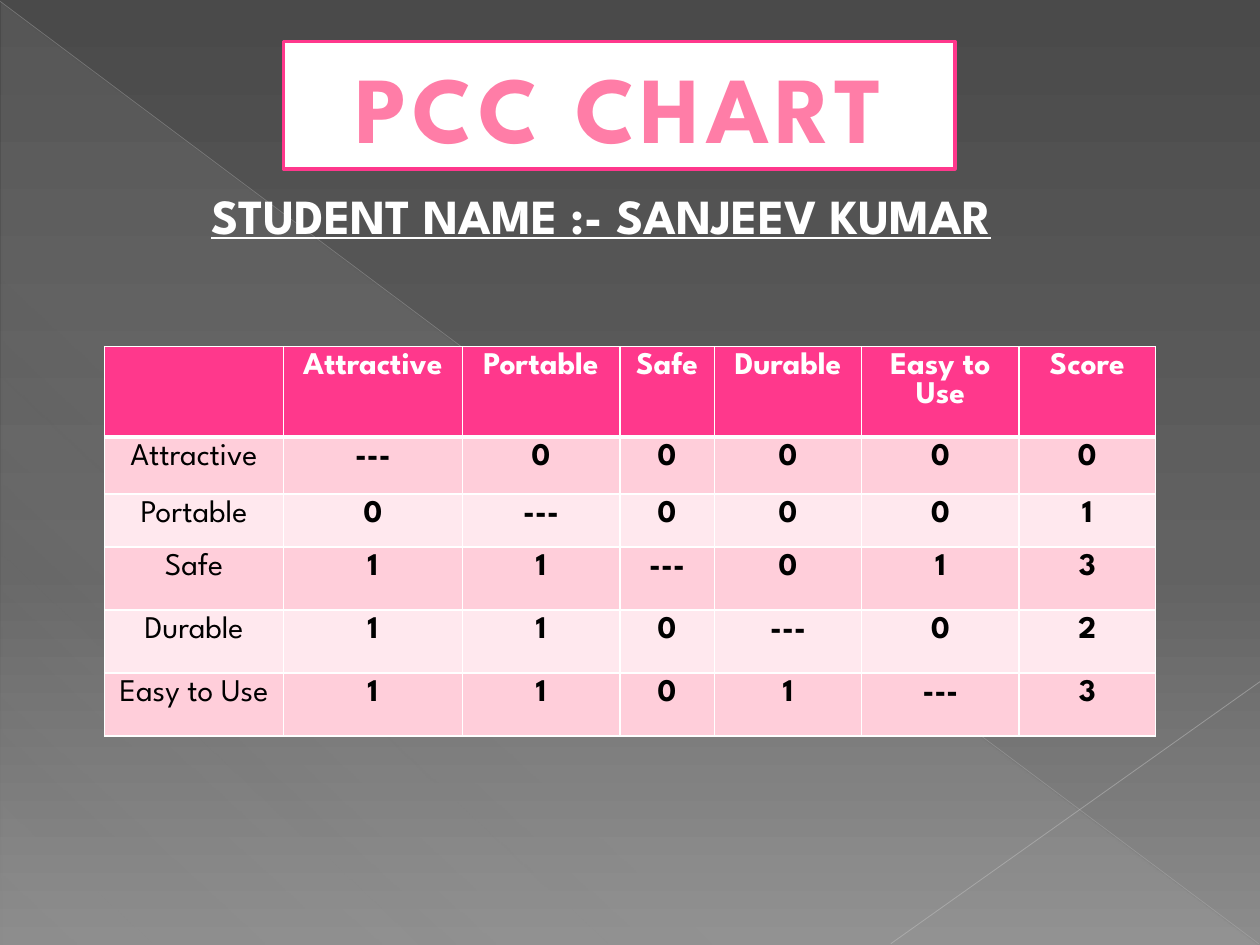
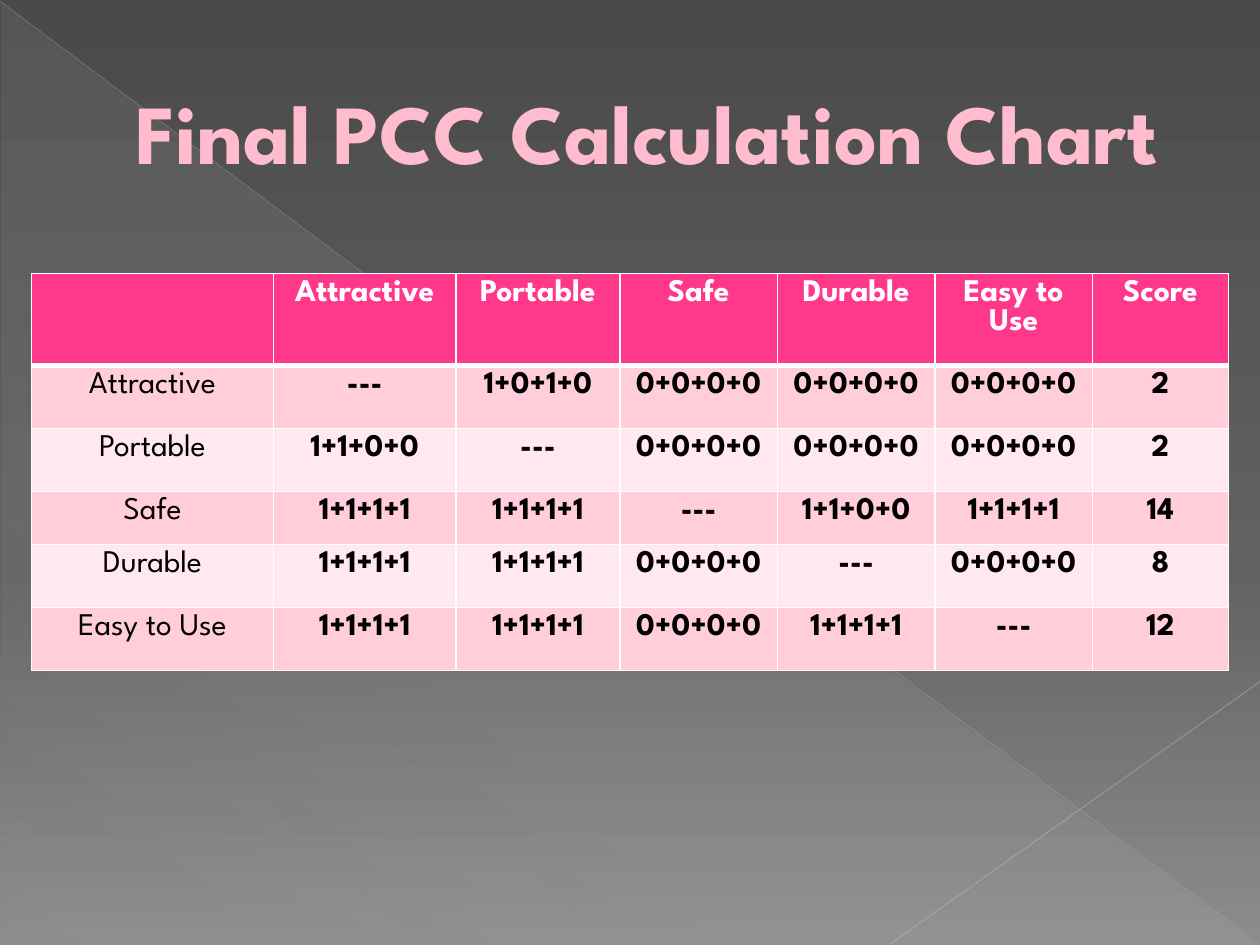
from lxml import etree
from pptx import Presentation
from pptx.dml.color import RGBColor as Rgb
from pptx.enum.shapes import MSO_CONNECTOR as Link, MSO_SHAPE as Form
from pptx.enum.text import MSO_ANCHOR as Anchor, MSO_AUTO_SIZE as Fit, PP_ALIGN as Align
from pptx.oxml.ns import qn
from pptx.util import Inches, Pt

FONT = "League Spartan"
INK = {
    "white": "FFFFFF", "black": "000000", "pink": "FF388C",
    "band": "FFCEDA", "pale": "FFE8EE", "haze": "D2D2D2",
    "long": "BFBFBF", "short": "C6C6C6",
    "edge": "FFF4F7", "rim": "FB2C83", "glow": "FFBCCE",
}
# Gradient stops: position %, colour, opacity %
BACK = [(0, "4A4A4A", 100), (60, "626262", 100), (100, "8C8C8C", 100)]
VEIL = [(0, INK["haze"], 10), (70, INK["haze"], 8), (100, INK["haze"], 1)]
ROSE = [(10, "FF7DA7", 100), (75, "E10562", 100)]
WINE = [(0, "FFCEDA", 100), (9, "FFBCCE", 100), (50, "9A0041", 100),
        (79, "FFBCCE", 100), (100, "FFCEDA", 100)]
# Master lines: from, to, colour, width, opacity %
LINES = [
    ((0, 0.01), (9.99, 7.49), INK["long"], 0.39, 35),
    ((10, 5.41), (7.07, 7.49), INK["short"], 0.47, 45),
]

TRAITS = ["Attractive", "Portable", "Safe", "Durable", "Easy to Use"]
HEAD = ["", *TRAITS, "Score"]
SAME = "---"
ONES, NONE, HALF = "1+1+1+1", "0+0+0+0", "1+1+0+0"
STUDENT = "STUDENT NAME :- SANJEEV KUMAR"

FIRST = {
    "title": "PCC CHART", "box": (2.25, 0.33, 5.33, 1.01), "size": 54,
    "stops": ROSE, "out": (INK["edge"], 0.9), "framed": True,
    "at": (0.83, 2.75),
    "cols": [1.42, 1.42, 1.25, 0.75, 1.17, 1.25, 1.08],
    "rows": [0.72, 0.45, 0.42, 0.5, 0.5, 0.5],
    "marks": [
        [SAME, "0", "0", "0", "0", "0"],
        ["0", SAME, "0", "0", "0", "1"],
        ["1", "1", SAME, "0", "1", "3"],
        ["1", "1", "0", SAME, "0", "2"],
        ["1", "1", "0", "1", SAME, "3"],
    ],
}
FINAL = {
    "title": "Final PCC Calculation Chart", "box": (-0.17, 0.58, 10.61, 0.91),
    "size": 48, "stops": WINE, "out": (INK["rim"], 0.83), "framed": False,
    "at": (0.25, 2.17),
    "cols": [1.92, 1.45, 1.3, 1.25, 1.25, 1.25, 1.08],
    "rows": [0.73, 0.5, 0.5, 0.42, 0.5, 0.5],
    "marks": [
        [SAME, "1+0+1+0", NONE, NONE, NONE, "2"],
        [HALF, SAME, NONE, NONE, NONE, "2"],
        [ONES, ONES, SAME, HALF, ONES, "14"],
        [ONES, ONES, NONE, SAME, NONE, "8"],
        [ONES, ONES, NONE, ONES, SAME, "12"],
    ],
}


def node(tag, *kids, **attrs):
    """Make an XML element with children and attributes."""
    item = etree.Element(qn(tag), {k: str(v) for k, v in attrs.items()})
    item.extend(kids)
    return item


def tint(hue, show=100):
    """Make a colour element with an opacity in percent."""
    kids = [node("a:alpha", val=show * 1000)] if show < 100 else []
    return node("a:srgbClr", *kids, val=hue)


def blend(stops, angle):
    """Make a linear gradient fill."""
    marks = [node("a:gs", tint(hue, show), pos=spot * 1000)
             for spot, hue, show in stops]
    return node("a:gradFill", node("a:gsLst", *marks),
                node("a:lin", ang=angle * 60000, scaled=0), rotWithShape=1)


def stroke(tag, hue, width):
    """Make a solid outline element."""
    return node(tag, node("a:solidFill", tint(hue)), w=Pt(width))


def write(frame, text, size, bold=True, hue=None, align=Align.CENTER):
    """Add one formatted run to a text frame and return it."""
    para = frame.paragraphs[0]
    para.alignment = align
    run = para.add_run()
    run.text = text
    run.font.name, run.font.size, run.font.bold = FONT, Pt(size), bold
    if hue:
        run.font.color.rgb = Rgb.from_string(hue)
    return run


def dress(prs, slide):
    """Give the master its background, triangle and lines."""
    master = prs.slide_master
    master.background.fill.background()
    ground = master.element.find(".//" + qn("p:bgPr"))
    ground.replace(ground[0], blend(BACK, 90))

    veil = slide.shapes.add_shape(Form.RIGHT_TRIANGLE, Inches(0.01),
                                  Inches(0.02), Inches(9.98), Inches(7.48))
    veil.shadow.inherit = False
    veil.line.fill.background()
    veil.fill.background()
    props = veil.element.spPr
    props.replace(props.find(qn("a:noFill")), blend(VEIL, 133))
    parts = [veil]
    for start, end, hue, width, show in LINES:
        line = slide.shapes.add_connector(
            Link.STRAIGHT, *map(Inches, start + end))
        line.line.width = Pt(width)
        line.line.color.rgb = Rgb.from_string(hue)
        props = line.element.spPr
        props.find(".//" + qn("a:srgbClr")).append(
            node("a:alpha", val=show * 1000))
        props.append(node("a:effectLst"))
        parts.append(line)
    for spot, part in enumerate(parts):
        part.element.find(".//" + qn("p:cNvPr")).set("id", str(20 + spot))
        master.shapes.element.insert(2 + spot, part.element)


def head(slide, page):
    """Fill and format the title placeholder."""
    title = slide.shapes.title
    title.left, title.top, title.width, title.height = map(Inches, page["box"])
    frame = title.text_frame
    frame.auto_size, frame.vertical_anchor = Fit.NONE, Anchor.BOTTOM
    frame.word_wrap = True
    run = write(frame, page["title"], page["size"])
    look = [stroke("a:ln", *page["out"]), blend(page["stops"], 90)]
    props = run.font.name and run._r.get_or_add_rPr()
    if page["framed"]:
        title.fill.solid()
        title.fill.fore_color.rgb = Rgb.from_string(INK["white"])
        title.line.color.rgb = Rgb.from_string(INK["pink"])
        title.line.width = Pt(2)
        props.set("spc", "300")
        look.append(node("a:effectLst", node(
            "a:outerShdw", tint(INK["glow"]), blurRad=Pt(2), dist=Pt(2),
            dir=45 * 60000)))
    for spot, part in enumerate(look):
        props.insert(spot, part)


def grid(slide, page):
    """Add the comparison table."""
    cols, rows = page["cols"], page["rows"]
    data = [HEAD] + [[name, *row] for name, row in zip(TRAITS, page["marks"])]
    table = slide.shapes.add_table(
        len(rows), len(cols), *map(Inches, page["at"]),
        Inches(sum(cols)), Inches(sum(rows))).table
    for col, wide in zip(table.columns, cols):
        col.width = Inches(wide)
    for row, tall in zip(table.rows, rows):
        row.height = Inches(tall)
    for r, line in enumerate(data):
        fill = INK["pink"] if r == 0 else INK["band"] if r % 2 else INK["pale"]
        hue = INK["black"] if r else INK["white"]
        edges = {"L": 1, "R": 1, "T": 3 if r == 1 else 1, "B": 1 if r else 3}
        for c, text in enumerate(line):
            cell = table.cell(r, c)
            props = cell._tc.get_or_add_tcPr()
            for side, width in edges.items():
                props.append(stroke("a:ln" + side, INK["white"], width))
            cell.fill.solid()
            cell.fill.fore_color.rgb = Rgb.from_string(fill)
            if text:
                write(cell.text_frame, text, 18, r == 0 or c > 0, hue)


def label(slide):
    """Add the underlined student name."""
    box = slide.shapes.add_textbox(*map(Inches, (1.58, 1.42, 6.64, 0.57)))
    frame = box.text_frame
    frame.word_wrap, frame.vertical_anchor = False, Anchor.BOTTOM
    run = write(frame, STUDENT, 28, True, INK["white"], Align.LEFT)
    run.font.underline = True


def build():
    """Build and save both slides."""
    prs = Presentation()
    prs.slide_width, prs.slide_height = Inches(10), Inches(7.5)
    plain = prs.slide_layouts[5]
    first, final = (prs.slides.add_slide(plain) for _ in range(2))
    dress(prs, first)
    for slide, page in ((first, FIRST), (final, FINAL)):
        head(slide, page)
        grid(slide, page)
    label(first)
    prs.save("out.pptx")


build()
